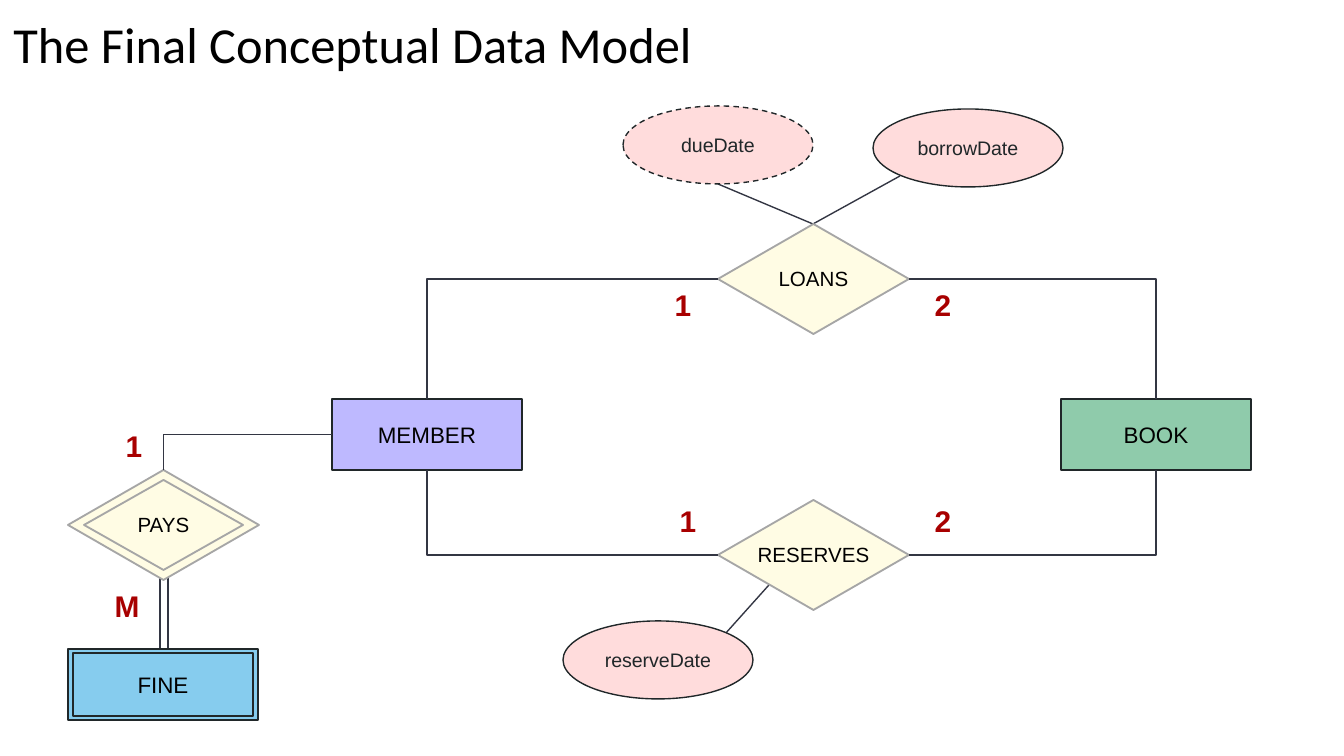
from pptx import Presentation
from pptx import util as u
from pptx.dml.color import RGBColor
from pptx.enum import dml, shapes, text
from pptx.oxml import ns
from lxml import etree

SCALE = 914400 / 134.4
KIND = shapes.MSO_SHAPE
TOP, LEFT, BOTTOM, RIGHT = range(4)
INK, EDGE, GREY, RED = "333643", "202729", "A6A6A6", "A80000"
CREAM, PINK = "FFFCE4", "FFDCDC"


def px(*lengths):
    return [u.Emu(round(length * SCALE)) for length in lengths]


def color(code):
    return RGBColor.from_string(code)


def write(shape, words, size, code, bold=False, font="Arial", align=text.PP_ALIGN.CENTER):
    shape.text_frame.text = words
    para = shape.text_frame.paragraphs[0]
    para.alignment = align
    span = para.runs[0].font
    span.name, span.size, span.bold = font, u.Pt(size), bold
    span.color.rgb = color(code)


def label(parent, words, box, size, code, bold=False):
    caption = parent.add_textbox(*px(*box))
    caption.text_frame.word_wrap = False
    write(caption, words, size, code, bold)


def outline(parent, kind, box, fill, edge, weight=0.75):
    shape = parent.add_shape(kind, *px(*box))
    shape.shadow.inherit = False
    if fill:
        shape.fill.solid()
        shape.fill.fore_color.rgb = color(fill)
    else:
        shape.fill.background()
    shape.line.color.rgb = color(edge)
    shape.line.width = u.Pt(weight)
    return shape


def inset(box, dx, dy):
    left, top, width, height = box
    return left + dx, top + dy, width - 2 * dx, height - 2 * dy


def entity(page, words, left, top, fill, weak=False):
    box = (left, top, 190, 71)
    shape = outline(page.shapes, KIND.RECTANGLE, box, fill, EDGE)
    shape.text_frame.vertical_anchor = text.MSO_ANCHOR.MIDDLE
    write(shape, words, 12, "000000")
    if weak:
        outline(page.shapes, KIND.RECTANGLE, inset(box, 5, 4), None, EDGE)
    return shape


def relationship(page, words, left, top, width, weak=False):
    box = (left, top, 191, 110)
    group = page.shapes.add_group_shape().shapes
    diamond = outline(group, KIND.DIAMOND, box, CREAM, GREY, 1)
    label(group, words, (left + (191 - width) / 2, top + 35, width, 39), 11, "000000")
    if weak:
        outline(group, KIND.DIAMOND, inset(box, 16, 10), None, GREY, 1)
    return diamond


def attribute(page, words, left, top, derived=False):
    shape = outline(page.shapes, KIND.OVAL, (left, top, 190, 78), PINK, EDGE)
    shape.text_frame.vertical_anchor = text.MSO_ANCHOR.MIDDLE
    shape.text_frame.word_wrap = False
    write(shape, words, 10.5, EDGE)
    if derived:
        shape.line.dash_style = dml.MSO_LINE.DASH


def connector(page, kind, ends):
    line = page.shapes.add_connector(kind, *px(*ends))
    line.line.color.rgb = color(INK)
    line.line.width = u.Pt(0.75)
    etree.SubElement(line._element.spPr, ns.qn("a:effectLst"))
    return line


def corner(page, start, start_site, end, end_site):
    line = connector(page, shapes.MSO_CONNECTOR.ELBOW, (0, 0, 0, 0))
    line.begin_connect(start, start_site)
    line.end_connect(end, end_site)
    line._element.spPr.find(ns.qn("a:prstGeom")).set("prst", "bentConnector2")


def heading(page, words, box):
    title = page.shapes.title
    title.left, title.top, title.width, title.height = px(*box)
    frame = title.text_frame
    frame.margin_left = frame.margin_right = u.Inches(0.1)
    frame.margin_top = frame.margin_bottom = u.Inches(0.1)
    frame.vertical_anchor = text.MSO_ANCHOR.TOP
    frame.auto_size = text.MSO_AUTO_SIZE.NONE
    frame.word_wrap = True
    write(title, words, 27, "000000", font="Calibri", align=text.PP_ALIGN.LEFT)


def data_model(page):
    straight = shapes.MSO_CONNECTOR.STRAIGHT
    for ends in ((160, 574, 160, 649), (168, 574, 168, 649),
                 (718, 184, 813, 224), (900, 176, 813, 224), (769, 585, 726, 633)):
        connector(page, straight, ends)

    member = entity(page, "MEMBER", 332, 399, "BEB9FF")
    book = entity(page, "BOOK", 1061, 399, "8FCBAB")
    entity(page, "FINE", 68, 649, "86CCEE", weak=True)
    loans = relationship(page, "LOANS", 718, 224, 98)
    reserves = relationship(page, "RESERVES", 718, 500, 141)
    pays = relationship(page, "PAYS", 68, 470, 83, weak=True)

    for diamond, site in ((loans, TOP), (reserves, BOTTOM)):
        corner(page, diamond, LEFT, member, site)
        corner(page, diamond, RIGHT, book, site)
    corner(page, member, LEFT, pays, TOP)

    attribute(page, "borrowDate", 873, 109)
    attribute(page, "dueDate", 623, 106, derived=True)
    attribute(page, "reserveDate", 563, 621)

    for words, left, top, width in (
        ("1", 661, 280, 44), ("2", 921, 280, 44), ("1", 666, 496, 44),
        ("2", 921, 496, 44), ("1", 112, 421, 44), ("M", 101, 581, 52),
    ):
        label(page.shapes, words, (left, top, width, 50), 16, RED, bold=True)


deck = Presentation()
deck.slide_width, deck.slide_height = px(1344, 756)
page = deck.slides.add_slide(deck.slide_layouts[5])
heading(page, "The Final Conceptual Data Model", (0, 0, 984, 89))
data_model(page)
deck.save("out.pptx")
